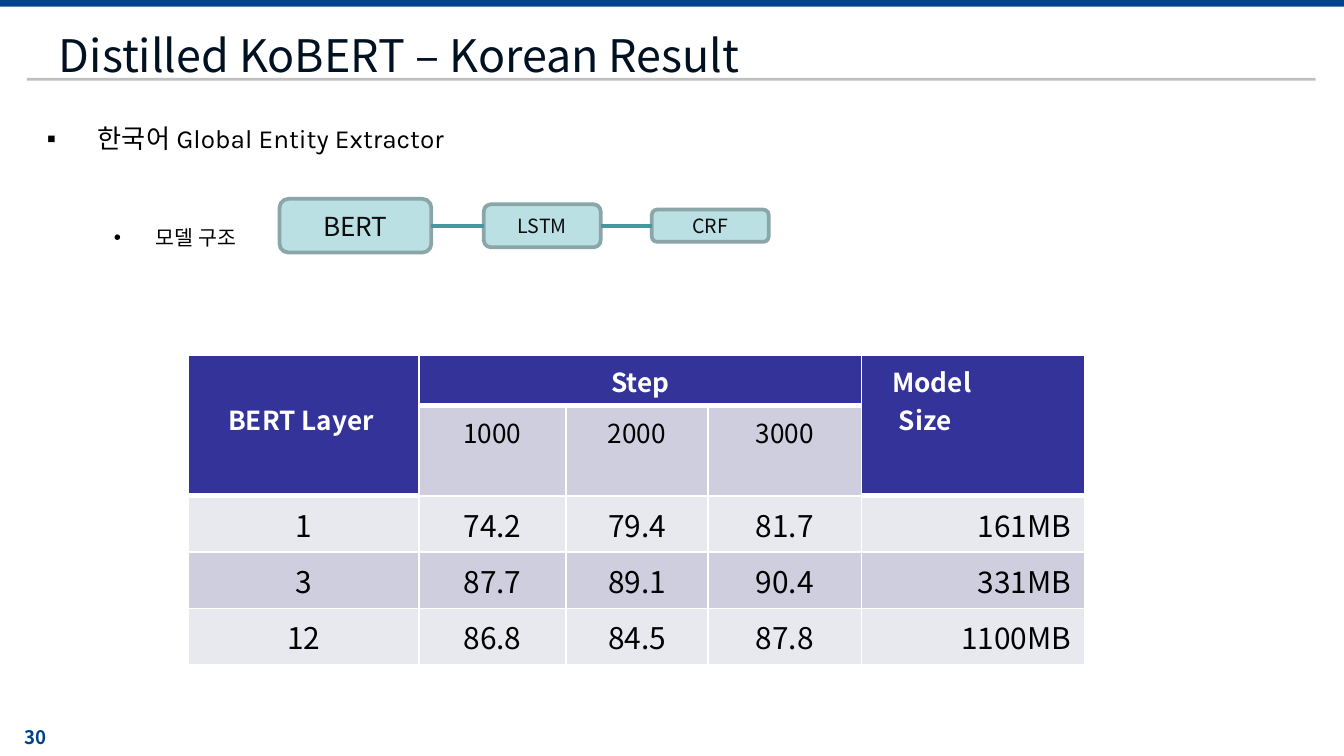
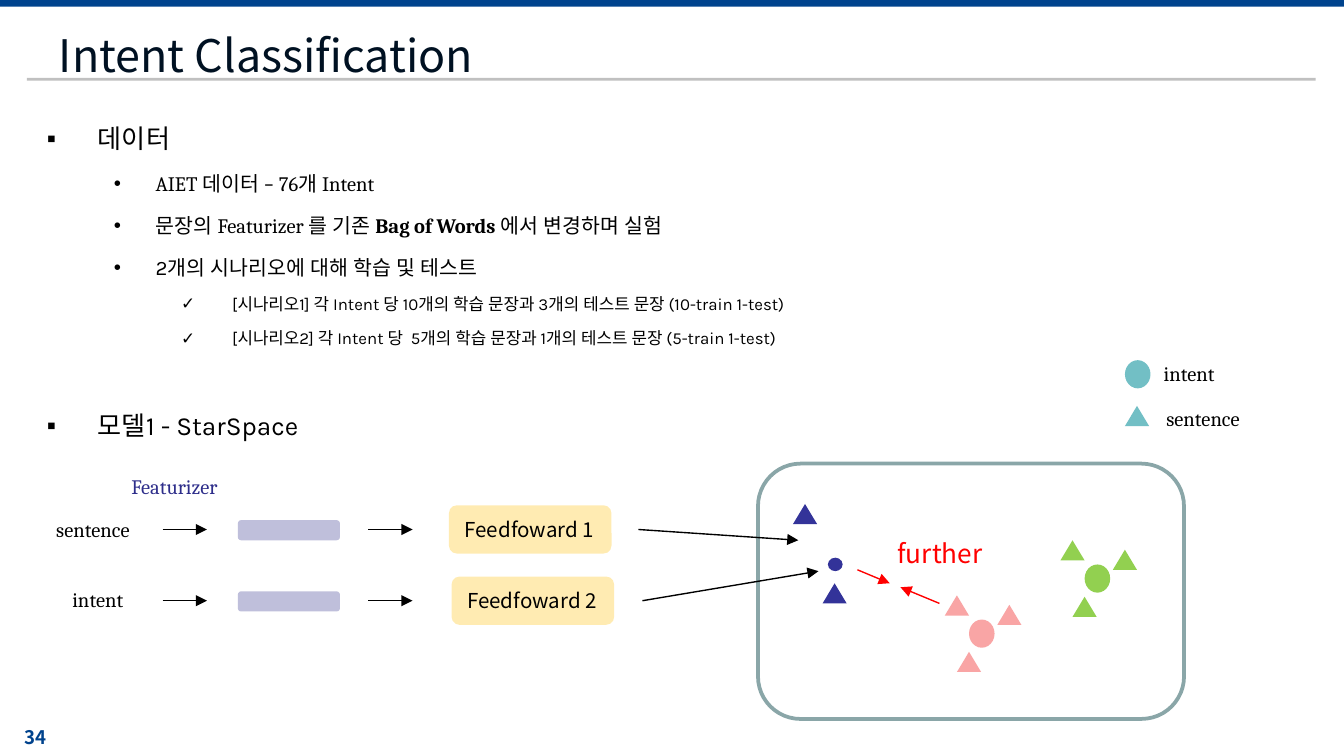
from dataclasses import dataclass
from lxml.etree import SubElement
from pptx import Presentation
from pptx.dml.color import RGBColor
from pptx.enum.shapes import MSO_CONNECTOR, MSO_SHAPE
from pptx.enum.text import MSO_ANCHOR, PP_ALIGN
from pptx.oxml.ns import qn
from pptx.util import Inches, Pt


@dataclass(frozen=True)
class Theme:
    sans: str = "Noto Sans CJK KR"
    serif: str = "Cambria"
    karla: str = "Karla"
    navy: str = "00438D"
    rule: str = "C0C0C0"
    ink: str = "001122"
    black: str = "000000"
    white: str = "FFFFFF"
    soft: str = "0D0D0D"
    indigo: str = "333399"
    deep: str = "2D2D8A"
    gold: str = "FFC000"
    aqua: str = "BBE0E3"
    edge: str = "8AA6A8"
    teal: str = "4597A0"
    key: str = "72BFC5"
    red: str = "FF0000"
    pink: str = "F9A5A5"
    green: str = "92D050"
    dark: str = "CECEDE"
    pale: str = "E8E8EF"
    title: float = 24
    large: float = 16
    head: float = 14
    text: float = 11
    small: float = 10.5
    page: float = 10
    note: float = 9


T = Theme()
RECT, ROUND = MSO_SHAPE.RECTANGLE, MSO_SHAPE.ROUNDED_RECTANGLE
OVAL, TRI = MSO_SHAPE.OVAL, MSO_SHAPE.ISOSCELES_TRIANGLE
LEFT, MID, RIGHT = PP_ALIGN.LEFT, PP_ALIGN.CENTER, PP_ALIGN.RIGHT


def style(para, text, size, face, color, bold=False, align=LEFT):
    para.alignment = align
    font = para.font
    font.size, font.name, font.bold = Pt(size), face, bold
    font.color.rgb = RGBColor.from_string(color)
    base = para._p.pPr.find(qn("a:defRPr"))
    SubElement(base, qn("a:ea")).set("typeface", T.sans if face == T.sans else T.karla)
    for i, part in enumerate(text.split("|")):
        run = para.add_run()
        run.text = part
        if i % 2:
            run.font.bold = True


def draw(slide, kind, at, fill=None, line=None, alpha=None, tail=False):
    x, y, w, h = [Inches(v) for v in at]
    if kind is None:
        box = slide.shapes.add_textbox(x, y, w, h)
        box.text_frame.word_wrap = True
        return box
    if kind == "line":
        wire = slide.shapes.add_connector(MSO_CONNECTOR.STRAIGHT, x, y, w, h)
        wire.line.color.rgb = RGBColor.from_string(line)
        wire.line.width = Pt(0.75 if tail else 2)
        if tail:
            SubElement(wire.line._get_or_add_ln(), qn("a:tailEnd")).set("type", "triangle")
        SubElement(wire._element.spPr, qn("a:effectLst"))
        return wire
    shape = slide.shapes.add_shape(kind, x, y, w, h)
    shape.shadow.inherit = False
    if fill:
        shape.fill.solid()
        shape.fill.fore_color.rgb = RGBColor.from_string(fill)
    else:
        shape.fill.background()
    if alpha:
        tone = shape._element.spPr.find(qn("a:solidFill"))[0]
        SubElement(tone, qn("a:alpha")).set("val", str(alpha * 1000))
    if line:
        shape.line.color.rgb = RGBColor.from_string(line)
        shape.line.width = Pt(2)
    else:
        shape.line.fill.background()
    shape.text_frame.vertical_anchor = MSO_ANCHOR.MIDDLE
    return shape


deck = Presentation()
deck.slide_width = Inches(10)
deck.slide_height = deck.slide_width * 9 // 16

marks = [("▪", 0.38, 0.38), ("•", 0.81, 0.31), ("✓", 1.38, 0.38)]
pages = [
    ("30", "Distilled KoBERT – Korean Result", [
        (0, 0, T.head, T.karla, "한국어 Global Entity Extractor"),
        (1, 29, T.text, T.serif, "모델 구조"),
    ]),
    ("34", "Intent Classification", [
        (0, 0, T.head, T.karla, "데이터"),
        (1, 0, T.text, T.serif, "AIET 데이터 – 76개 Intent"),
        (1, 0, T.text, T.serif, "문장의 Featurizer 를 기존 |Bag of Words |에서 변경하며 실험"),
        (1, 0, T.text, T.karla, "2개의 시나리오에 대해 학습 및 테스트"),
        (2, 0, T.note, T.karla,
         "[시나리오1] 각 Intent 당 10개의 학습 문장과 3개의 테스트 문장 (10-train 1-test)"),
        (2, 0, T.note, T.karla,
         "[시나리오2] 각 Intent 당  5개의 학습 문장과 1개의 테스트 문장 (5-train 1-test)"),
        (0, 21, T.head, T.karla, "모델1 - StarSpace"),
    ]),
]
for num, title, items in pages:
    slide = deck.slides.add_slide(deck.slide_layouts[6])
    draw(slide, RECT, (0, 0, 10, 0.05), T.navy)
    draw(slide, RECT, (0.2, 0.58, 9.59, 0.02), T.rule)
    frame = draw(slide, None, (0.18, 5.35, 0.34, 0.27)).text_frame
    frame.word_wrap = False
    frame.margin_left = frame.margin_right = 0
    frame.vertical_anchor = MSO_ANCHOR.MIDDLE
    style(frame.paragraphs[0], num, T.page, T.sans, T.navy, True)
    frame = draw(slide, None, (0.34, 0, 9.32, 0.63)).text_frame
    frame.margin_top, frame.margin_bottom = Inches(0.1), Inches(0.02)
    frame.vertical_anchor = MSO_ANCHOR.MIDDLE
    frame.paragraphs[0].line_spacing = 1.25
    style(frame.paragraphs[0], title, T.title, T.sans, T.ink)
    frame = draw(slide, None, (0.25, 0.7, 8.74, 4.76)).text_frame
    for i, (level, gap, size, face, text) in enumerate(items):
        para = frame.add_paragraph() if i else frame.paragraphs[0]
        para.level, para.line_spacing = level, 1.7
        para.space_before = Pt(gap)
        mark, left, hang = marks[level]
        prop = para._p.get_or_add_pPr()
        prop.set("marL", str(Inches(left)))
        prop.set("indent", str(-Inches(hang)))
        SubElement(prop, qn("a:buFont")).set("typeface", "Arial")
        SubElement(prop, qn("a:buChar")).set("char", mark)
        style(para, text, size, face, T.black)

first, second = deck.slides

rows = [
    ["BERT Layer", "Step", "", "", ""],
    ["", "1000", "2000", "3000", ""],
    ["1", "74.2", "79.4", "81.7", "161MB"],
    ["3", "87.7", "89.1", "90.4", "331MB"],
    ["12", "86.8", "84.5", "87.8", "1100MB"],
]
wide = [1.72, 1.09, 1.06, 1.14, 1.66]
high = [0.38, 0.67, 0.42, 0.42, 0.42]
grid = first.shapes.add_table(5, 5, Inches(1.4), Inches(2.64),
                              Inches(sum(wide)), Inches(sum(high))).table
for col, w in zip(grid.columns, wide):
    col.width = Inches(w)
for row, h in zip(grid.rows, high):
    row.height = Inches(h)
for r, row in enumerate(rows):
    for c, text in enumerate(row):
        cell = grid.cell(r, c)
        head = r == 0 or (r == 1 and c in (0, 4))
        for side in ("lnL", "lnR", "lnT", "lnB"):
            thick = 3 if head and side == "lnB" else 1
            edge = SubElement(cell._tc.get_or_add_tcPr(), qn("a:" + side), w=str(Pt(thick)))
            SubElement(SubElement(edge, qn("a:solidFill")), qn("a:srgbClr")).set("val", T.white)
        cell.fill.solid()
        tone = T.indigo if head else T.dark if r % 2 else T.pale
        cell.fill.fore_color.rgb = RGBColor.from_string(tone)
        if text:
            style(cell.text_frame.paragraphs[0], text, T.head if r < 2 else T.large, T.sans,
                  T.white if head else T.black, head, RIGHT if c == 4 else MID)
grid.cell(0, 0).merge(grid.cell(1, 0))
grid.cell(0, 1).merge(grid.cell(0, 3))
grid.cell(0, 4).merge(grid.cell(1, 4))
layer = grid.cell(0, 0)
layer.vertical_anchor = MSO_ANCHOR.MIDDLE
layer.margin_right, layer.margin_bottom = Inches(0.14), Inches(0.14)
size = grid.cell(0, 4)
size.margin_left = Inches(0.23)
style(size.text_frame.paragraphs[0], "Model", T.head, T.sans, T.white, True)
para = size.text_frame.add_paragraph()
style(para, "Size", T.head, T.sans, T.white, True)
para._p.pPr.set("marL", str(Inches(0.05)))

axis = 1.68
for text, x, w, h, pt in [("BERT", 2.08, 1.13, 0.4, T.head),
                          ("LSTM", 3.6, 0.87, 0.32, T.small),
                          ("CRF", 4.85, 0.87, 0.24, T.small)]:
    box = draw(first, ROUND, (x, axis - h / 2, w, h), T.aqua, T.edge)
    style(box.text_frame.paragraphs[0], text, pt, T.sans, T.soft, align=MID)
for x, end in [(3.21, 3.6), (4.47, 4.85)]:
    draw(first, "line", (x, axis, end, axis), line=T.teal)

for i, (x, y) in enumerate([(3.34, 3.94), (3.36, 4.47)], 1):
    draw(second, ROUND, (1.77, y - 0.07, 0.76, 0.15), T.deep, alpha=30)
    box = draw(second, ROUND, (x, y - 0.18, 1.21, 0.36), T.gold, alpha=30)
    style(box.text_frame.paragraphs[0], f"Feedfoward {i}", T.text, T.sans, T.black)
    for start in (1.21, 2.74):
        draw(second, "line", (start, y, start + 0.33, y), line=T.black, tail=True)
draw(second, ROUND, (5.64, 3.45, 3.17, 1.9), line=T.edge)
for ends, color in [((4.75, 3.94, 5.94, 4.02), T.black), ((4.78, 4.47, 6.09, 4.25), T.black),
                    ((6.38, 4.24, 6.62, 4.34), T.red), ((6.99, 4.49, 6.7, 4.37), T.red)]:
    draw(second, "line", ends, line=color, tail=True)

draw(second, OVAL, (6.16, 4.15, 0.11, 0.1), T.indigo)
for x, y in [(5.9, 3.75), (6.12, 4.34)]:
    draw(second, TRI, (x, y, 0.18, 0.15), T.indigo)
for x, y, color in [(8.07, 4.2, T.green), (7.21, 4.61, T.pink)]:
    draw(second, OVAL, (x, y, 0.19, 0.21), color)
    for dx, dy in [(0.21, -0.11), (-0.18, -0.18), (-0.09, 0.24)]:
        draw(second, TRI, (x + dx, y + dy, 0.18, 0.15), color)
draw(second, OVAL, (8.37, 2.68, 0.19, 0.21), T.key)
draw(second, TRI, (8.37, 3.02, 0.18, 0.15), T.key)

for text, x, y, w, color in [("sentence", 8.58, 2.97, 0.81, T.black),
                             ("intent", 8.56, 2.64, 0.73, T.black),
                             ("sentence", 0.32, 3.8, 0.81, T.black),
                             ("intent", 0.44, 4.32, 0.73, T.black),
                             ("Featurizer", 0.88, 3.48, 1.16, T.deep)]:
    box = draw(second, None, (x, y, w, 0.29))
    style(box.text_frame.paragraphs[0], text, T.text, T.serif, color)
box = draw(second, None, (6.58, 3.95, 0.97, 0.34))
style(box.text_frame.paragraphs[0], "further", T.head, T.sans, T.red)

deck.save("out.pptx")
